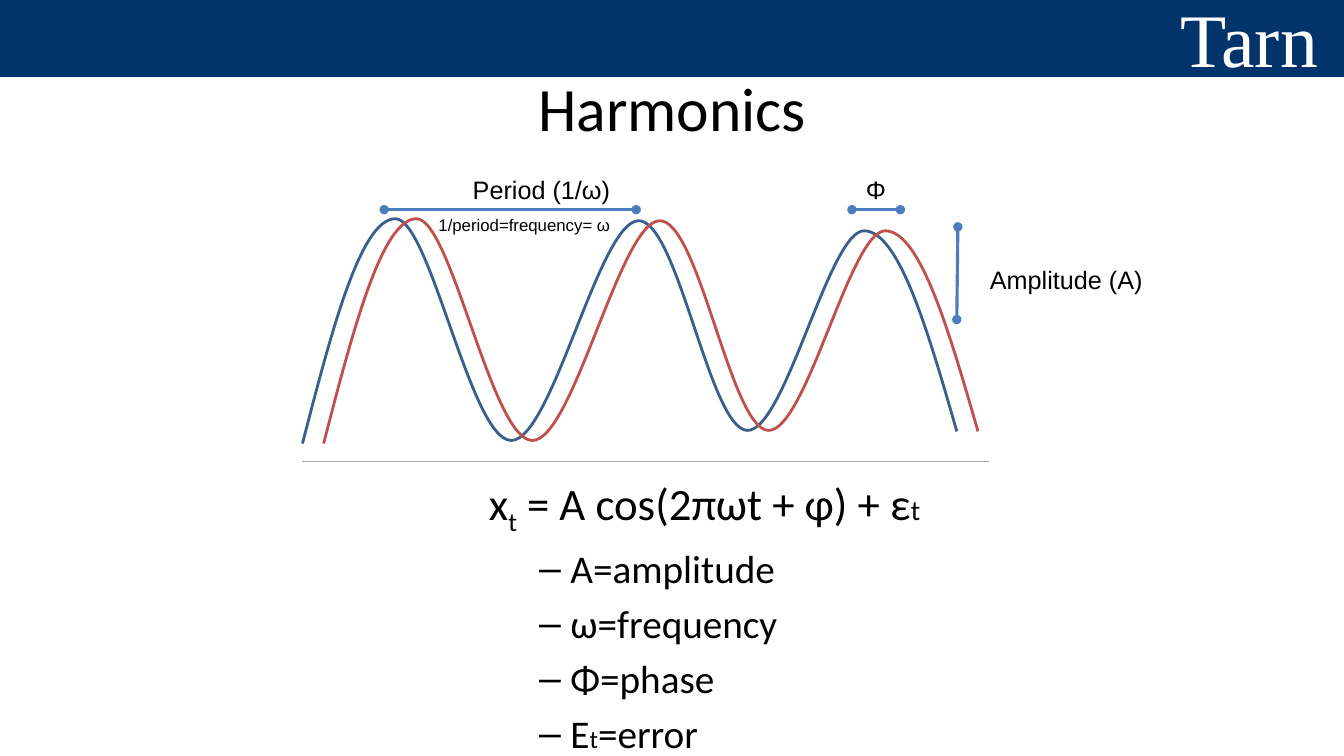
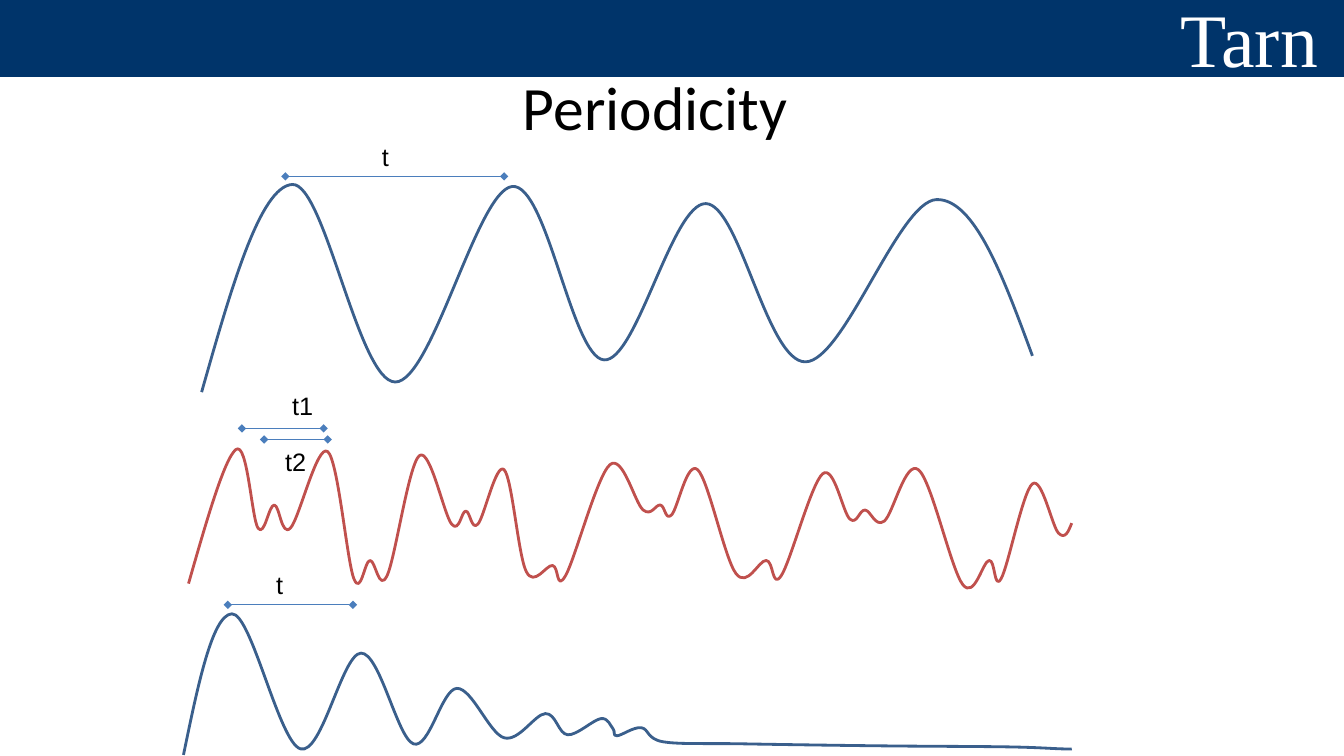
"""Build two slides on harmonics and periodicity in time series."""
from lxml import etree
from pptx import Presentation, util as u
from pptx.dml.color import RGBColor
from pptx.enum import shapes, text
from pptx.oxml.ns import qn

COLORS = {"band": "00346A", "white": "FFFFFF", "black": "000000", "blue": "3A5F8C",
          "red": "C0504D", "marker": "4B7EBC", "grey": "A6A6A6"}
FONTS = {
    "brand": {"name": "Times New Roman", "size": u.Pt(54)},
    "title": {"name": "Calibri", "size": u.Pt(44)},
    "body": {"name": "Calibri", "size": u.Pt(32)},
    "item": {"name": "Calibri", "size": u.Pt(28)},
    "label": {"name": "Arial", "size": u.Pt(18)},
    "note": {"name": "Arial", "size": u.Pt(12)},
}
WIDTH, HEIGHT = 13.33, 7.5


def inch(value):
    return u.Cm(value * 2.54)


def rgb(name):
    return RGBColor.from_string(COLORS[name])


def midpoint(a, b):
    return tuple((m + n) / 2 for m, n in zip(a, b))


def controls(knots):
    """Return the Bézier points, three to a segment, of a smooth curve."""
    slopes = [tuple((b - a) / 6 for a, b in zip(p, q)) for p, q in zip(knots, knots[2:])]
    before = [tuple(k - d for k, d in zip(*ks)) for ks in zip(knots[1:-1], slopes)]
    after = [tuple(k + d for k, d in zip(*ks)) for ks in zip(knots[1:-1], slopes)]
    after.insert(0, midpoint(knots[0], before[0]))
    before.append(midpoint(knots[-1], after[-1]))
    return [point for segment in zip(after, before, knots[1:]) for point in segment]


class Deck:
    """Hold the shared style and the current slide."""

    def __init__(self):
        self.prs = Presentation()
        self.prs.slide_width, self.prs.slide_height = inch(WIDTH), inch(HEIGHT)
        self.s = None

    def slide(self, title, left, top):
        self.s = self.prs.slides.add_slide(self.prs.slide_layouts[6])
        sp = self.s.shapes.add_shape(shapes.MSO_SHAPE.RECTANGLE, 0, 0, inch(WIDTH), inch(0.75))
        sp.shadow.inherit = False
        sp.fill.solid()
        sp.fill.fore_color.rgb = rgb("band")
        self.stroke(sp, "band", 2)
        middle = {"vertical_anchor": text.MSO_ANCHOR.MIDDLE}
        self.text("Tarn", 11.61, 0.02, 1.72, 0.7, "brand", "white", **middle)
        tf = self.text(title, left, top, 9, 1.25, "title", **middle)
        tf.paragraphs[0].alignment = text.PP_ALIGN.CENTER

    def stroke(self, sp, color, width):
        sp.line.color.rgb = rgb(color)
        sp.line.width = u.Pt(width)

    def run(self, p, words, style, color="black", **extra):
        r = p.add_run()
        r.text = words
        for key, value in {**FONTS[style], **extra}.items():
            setattr(r.font, key, value)
        r.font.color.rgb = rgb(color)
        return r

    def text(self, words, left, top, width, height, style, color="black", **frame):
        box = self.s.shapes.add_textbox(*map(inch, (left, top, width, height)))
        tf = box.text_frame
        for key, value in {"word_wrap": True, **frame}.items():
            setattr(tf, key, value)
        if words:
            self.run(tf.paragraphs[0], words, style, color)
        return tf

    def label(self, words, left, top, width, height=0.4, style="label"):
        self.text(words, left, top, width, height, style, word_wrap=False)

    def line(self, start, end, color="marker", width=2.25, tips=None):
        sp = self.s.shapes.add_connector(shapes.MSO_CONNECTOR.STRAIGHT,
                                         *map(inch, (*start, *end)))
        self.stroke(sp, color, width)
        if tips:
            ln = sp.line._get_or_add_ln()
            for tag in ("a:headEnd", "a:tailEnd"):
                etree.SubElement(ln, qn(tag)).set("type", tips)
        etree.SubElement(sp._element.spPr, qn("a:effectLst"))

    def curve(self, knots, color):
        builder = self.s.shapes.build_freeform(*map(inch, knots[0]))
        builder.add_line_segments([tuple(map(inch, pt)) for pt in controls(knots)], close=False)
        sp = builder.convert_to_shape()
        outline = next(sp._element.iter(qn("a:path")))
        legs = outline.findall(qn("a:lnTo"))
        for i in range(0, len(legs), 3):
            bezier = etree.SubElement(outline, qn("a:cubicBezTo"))
            for leg in legs[i:i + 3]:
                bezier.append(leg[0])
                outline.remove(leg)
        sp.shadow.inherit = False
        sp.fill.background()
        self.stroke(sp, color, 2)

    def item(self, tf, parts):
        p = tf.add_paragraph()
        p.level, p.space_before = 1, u.Pt(5.6)
        pPr = p._p.get_or_add_pPr()
        pPr.set("marL", str(inch(0.81)))
        pPr.set("indent", str(inch(-0.31)))
        etree.SubElement(pPr, qn("a:buFont")).set("typeface", "Arial")
        etree.SubElement(pPr, qn("a:buChar")).set("char", "–")
        for words, extra in parts:
            self.run(p, words, "item", **extra)


def harmonics(deck):
    deck.slide("Harmonics", 2.17, 0.43)
    tf = deck.text("", 4.75, 4.67, 8.5, 2.8, "body")
    p = tf.paragraphs[0]
    p.space_before = u.Pt(6.4)
    deck.run(p, "x", "body")
    deck.run(p, "t", "body")._r.get_or_add_rPr().set("baseline", "-25000")
    deck.run(p, " = A cos(2πωt + φ) + ε", "body")
    deck.run(p, "t", "body", size=u.Pt(20))
    for words in ("A=amplitude", "ω=frequency", "Φ=phase"):
        deck.item(tf, [(words, {})])
    deck.item(tf, [("Ε", {}), ("t", {"size": u.Pt(18)}), ("=error", {})])

    wave = [(3, 4.4), (3.92, 2.17), (5.07, 4.37), (6.33, 2.19), (7.41, 4.27),
            (8.57, 2.29), (9.49, 4.28)]
    phase = 0.21
    deck.curve(wave, "blue")
    deck.curve([(x + phase, y) for x, y in wave], "red")
    for start, end in (((3.81, 2.08), (6.31, 2.08)), ((9.49, 3.17), (9.5, 2.25)),
                       ((8.45, 2.08), (8.93, 2.08))):
        deck.line(start, end, tips="oval")
    deck.line((3, 4.58), (9.81, 4.58), "grey", 1)
    deck.label("Period (1/ω)", 4.59, 1.68, 1.58)
    deck.label("1/period=frequency= ω", 4.25, 2.08, 1.92, 0.3, "note")
    deck.label("Amplitude (A)", 9.72, 2.57, 1.73)
    deck.label("Φ", 8.49, 1.68, 0.4)


def periodicity(deck):
    deck.slide("Periodicity", 2, 0.42)
    single = [(2, 3.89), (2.9, 1.83), (3.92, 3.79), (5.08, 1.85), (5.99, 3.57),
              (7, 2.02), (7.99, 3.59), (9.29, 1.98), (10.24, 3.53)]
    double = [(1.87, 5.79), (2.34, 4.46), (2.56, 5.24), (2.72, 5.01), (2.88, 5.24),
              (3.25, 4.48), (3.51, 5.74), (3.67, 5.56), (3.84, 5.71), (4.16, 4.52),
              (4.48, 5.2), (4.62, 5.07), (4.74, 5.2), (5, 4.66), (5.22, 5.67),
              (5.48, 5.61), (5.61, 5.71), (6.05, 4.61), (6.38, 5.06), (6.55, 5.01),
              (6.66, 5.11), (6.92, 4.66), (7.3, 5.69), (7.6, 5.56), (7.75, 5.71),
              (8.16, 4.7), (8.43, 5.15), (8.58, 5.06), (8.77, 5.17), (9.11, 4.66),
              (9.55, 5.8), (9.81, 5.56), (9.93, 5.74), (10.24, 4.8), (10.5, 5.29),
              (10.63, 5.19)]
    damped = [(1.82, 7.49), (2.3, 6.09), (2.98, 7.43), (3.58, 6.48), (4.1, 7.38),
              (4.53, 6.83), (5, 7.32), (5.41, 7.08), (5.63, 7.29), (5.96, 7.13),
              (6.08, 7.23), (6.12, 7.3), (6.36, 7.22), (6.58, 7.36), (7.36, 7.38),
              (8.74, 7.4), (9.99, 7.41), (10.53, 7.43), (10.63, 7.43)]
    for knots, color in ((single, "blue"), (double, "red"), (damped, "blue")):
        deck.curve(knots, color)
    spans = [("t", 2.83, 5, 1.75, 3.69, 1.35, 0.27),
             ("t2", 2.62, 3.25, 4.36, 2.73, 4.38, 0.41),
             ("t1", 2.4, 3.21, 4.25, 2.8, 3.82, 0.41),
             ("t", 2.26, 3.5, 6, 2.64, 5.6, 0.27)]
    for words, start, end, y, left, top, width in spans:
        deck.line((start, y), (end, y), width=0.75, tips="diamond")
        deck.label(words, left, top, width)


def main():
    deck = Deck()
    harmonics(deck)
    periodicity(deck)
    deck.prs.save("out.pptx")


if __name__ == "__main__":
    main()
